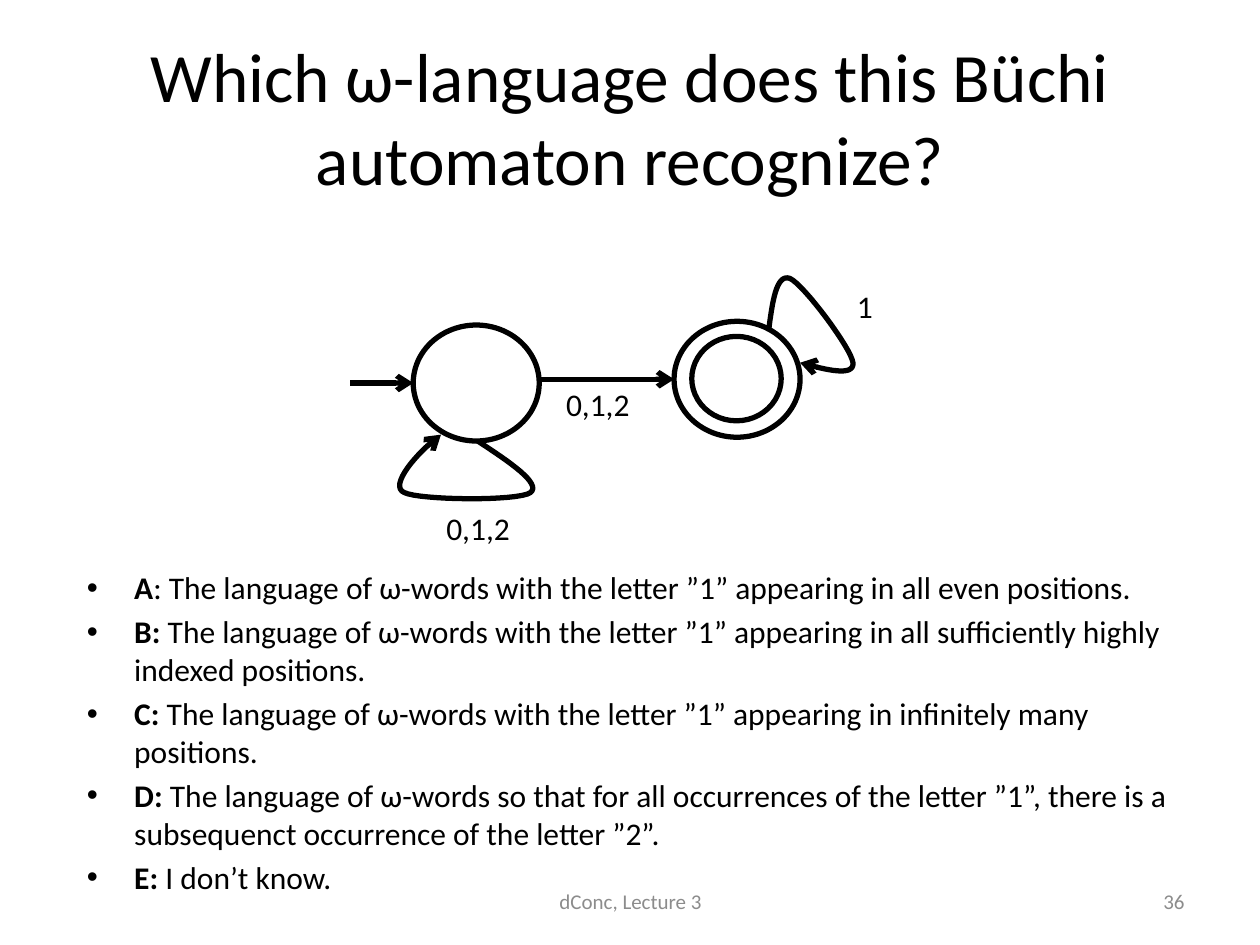
"""Quiz slide about the omega-language of a two-state Büchi automaton."""
import pptx
import pptx.dml.color
import pptx.enum.shapes
import pptx.enum.text
import pptx.oxml
import pptx.oxml.ns
import pptx.util

deck = pptx.Presentation()
deck.slide_width = pptx.util.Inches(10)
deck.slide_height = pptx.util.Inches(7.5)
column = deck.slide_width / 100
row = deck.slide_height / 75
slide = deck.slides.add_slide(deck.slide_layouts[1])
title, answers = slide.placeholders
align = pptx.enum.text.PP_ALIGN
anchor = pptx.enum.text.MSO_ANCHOR


def cells(*lengths):
    return [round(length * (row if i % 2 else column)) for i, length in enumerate(lengths)]


def write(paragraph, text, size, color="000000", bold=False):
    run = paragraph.add_run()
    run.text = text
    run.font.name = "Calibri"
    run.font.size = pptx.util.Pt(size)
    run.font.bold = bold
    run.font.color.rgb = pptx.dml.color.RGBColor.from_string(color)


title.left, title.top, title.width, title.height = cells(5, 3, 90, 12.5)
title.text_frame.vertical_anchor = anchor.MIDDLE
title.text_frame.paragraphs[0].alignment = align.CENTER
write(title.text_frame.paragraphs[0], "Which ω-language does this Büchi automaton recognize?", 39.6)

answers.left, answers.top, answers.width, answers.height = cells(5.9, 44.6, 90, 25.2)
answers.text_frame.auto_size = pptx.enum.text.MSO_AUTO_SIZE.NONE
options = [
    ("A", ": The language of ω-words with the letter ”1” appearing in all even positions."),
    ("B:", " The language of ω-words with the letter ”1” appearing in all sufficiently highly indexed positions."),
    ("C:", " The language of ω-words with the letter ”1” appearing in infinitely many positions."),
    ("D: ", "The language of ω-words so that for all occurrences of the letter ”1”, "
            "there is a subsequenct occurrence of the letter ”2”."),
    ("E:", " I don’t know."),
]
for number, (letter, claim) in enumerate(options):
    option = answers.text_frame.add_paragraph() if number else answers.text_frame.paragraphs[0]
    write(option, letter, 18, bold=True)
    write(option, claim, 18)

states = []
for place in [(32.8, 25.8, 10, 9.2), (53.5, 25.5, 10, 9.2), (54.9, 26.7, 7.1, 6.7)]:
    state = slide.shapes.add_shape(pptx.enum.shapes.MSO_SHAPE.OVAL, *cells(*place))
    state.shadow.inherit = False
    state.fill.background()
    states.append(state)

transitions = []
for ends in [(42.7, 30.1, 53.5, 30.1), (27.8, 30.4, 32.8, 30.4)]:
    transition = slide.shapes.add_connector(pptx.enum.shapes.MSO_CONNECTOR.STRAIGHT, *cells(*ends))
    transition._element.spPr.append(pptx.oxml.parse_xml(
        f"<a:effectLst {pptx.oxml.ns.nsdecls('a')}/>"))
    transitions.append(transition)

loops = [
    [(61, 26.3), (61.3, 24), (61.6, 21.7), (62.7, 22.1), (63.8, 22.6),
     (67.6, 27.7), (67.7, 28.8), (67.8, 29.9), (65.7, 29.4), (63.5, 28.8)],
    [(37.9, 35), (40.5, 36.7), (43, 38.4), (42.1, 39.1), (41.1, 39.8),
     (33.3, 39.7), (32.1, 39.1), (30.8, 38.6), (33.1, 35.9), (35, 34.5)],
]
steps = 16
for knots in loops:
    curve = []
    for start in range(0, len(knots) - 1, 3):
        for step in range(1, steps + 1):
            t = step / steps
            weights = ((1 - t) ** 3, 3 * t * (1 - t) ** 2, 3 * t ** 2 * (1 - t), t ** 3)
            curve.append(cells(*(sum(w * knot[axis] for w, knot in zip(weights, knots[start:start + 4]))
                                 for axis in (0, 1))))
    outline = slide.shapes.build_freeform(*cells(*knots[0]))
    outline.add_line_segments(curve, close=False)
    loop = outline.convert_to_shape()
    loop.shadow.inherit = False
    loop.fill.background()
    transitions.append(loop)

for stroke in states + transitions:
    stroke.line.width = pptx.util.Pt(3)
    stroke.line.color.rgb = pptx.dml.color.RGBColor.from_string("000000")
for transition in transitions:
    transition.line._get_or_add_ln().append(pptx.oxml.parse_xml(
        f"<a:tailEnd {pptx.oxml.ns.nsdecls('a')} type='arrow'/>"))

captions = [
    ("1", (64.5, 22.3, 8.3, 4), 18, "000000", align.CENTER, anchor.TOP),
    ("0,1,2", (33.6, 39.9, 8.7, 4), 18, "000000", align.CENTER, anchor.TOP),
    ("0,1,2", (43.3, 30.1, 8.3, 4), 18, "000000", align.CENTER, anchor.TOP),
    ("dConc, Lecture 3", (34.2, 69.5, 31.7, 4), 12, "8C8C8C", align.CENTER, anchor.MIDDLE),
    ("36", (71.7, 69.5, 23.3, 4), 12, "8C8C8C", align.RIGHT, anchor.MIDDLE),
]
for text, place, size, color, side, level in captions:
    caption = slide.shapes.add_textbox(*cells(*place)).text_frame
    caption.word_wrap = True
    caption.vertical_anchor = level
    caption.paragraphs[0].alignment = side
    write(caption.paragraphs[0], text, size, color)

deck.save("out.pptx")
